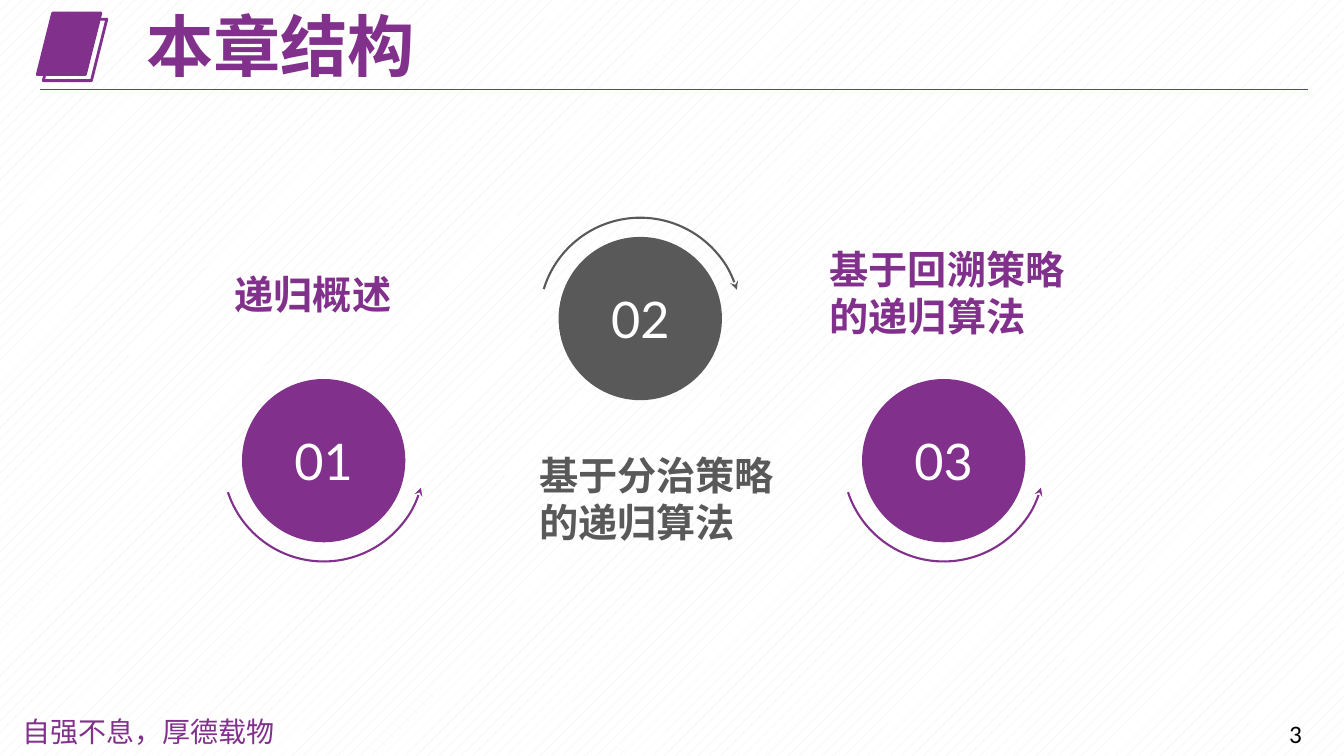
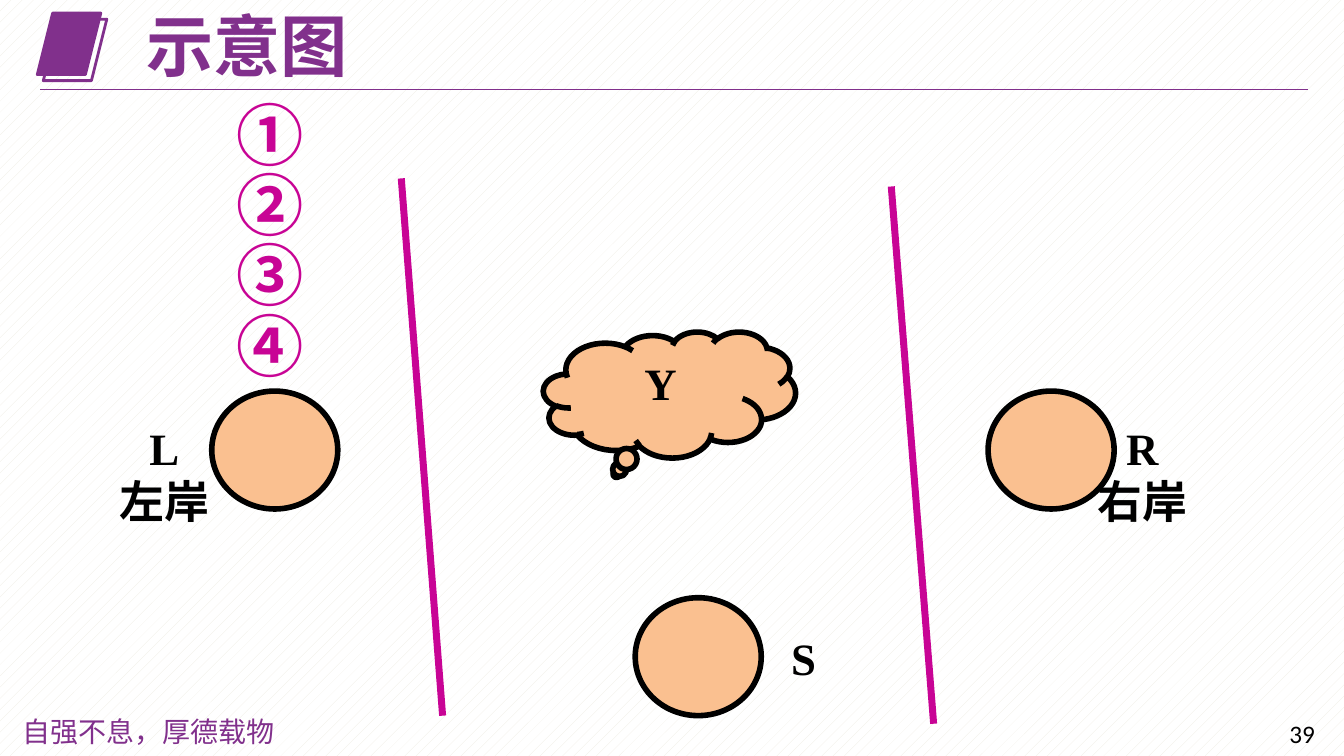
"""Build two slides of a lecture on recursion: the chapter structure and a sketch."""

from dataclasses import dataclass
from typing import Any, Optional

from lxml.etree import SubElement
from pptx import Presentation
from pptx.dml.color import RGBColor
from pptx.enum.dml import MSO_PATTERN
from pptx.enum.shapes import MSO_CONNECTOR, MSO_SHAPE
from pptx.enum.text import MSO_ANCHOR, MSO_AUTO_SIZE, PP_ALIGN
from pptx.oxml.ns import qn
from pptx.util import Inches, Pt

PURPLE = RGBColor(0x81, 0x30, 0x8C)
GREY = RGBColor(0x59, 0x59, 0x59)
MAGENTA = RGBColor(0xC8, 0x04, 0x95)
PEACH = RGBColor(0xFA, 0xC0, 0x90)
CREAM = RGBColor(0xEE, 0xEC, 0xE1)
BLACK = RGBColor(0, 0, 0)
WHITE = RGBColor(0xFF, 0xFF, 0xFF)

CHINESE_FONT = "Noto Sans CJK SC"
MOTTO = "自强不息，厚德载物"
TITLE_ONLY_LAYOUT = 5


@dataclass(frozen=True)
class Box:
    left: float
    top: float
    width: float
    height: float

    def lengths(self) -> tuple:
        return tuple(Inches(n) for n in (self.left, self.top, self.width, self.height))


@dataclass(frozen=True)
class TextStyle:
    size: int
    color: RGBColor
    font: str = CHINESE_FONT
    bold: bool = True
    align: PP_ALIGN = PP_ALIGN.LEFT
    asian_font: str = CHINESE_FONT


@dataclass(frozen=True)
class Step:
    number: str
    label: str
    label_box: Box
    left: float
    top: float
    color: RGBColor
    arc_on_top: bool = False


@dataclass(frozen=True)
class Place:
    left: float
    top: float
    lines: tuple
    label_box: Box


@dataclass(frozen=True)
class Line:
    start: tuple
    end: tuple
    color: RGBColor
    weight: float


TITLE_STYLE = TextStyle(48, PURPLE)
MOTTO_STYLE = TextStyle(20, PURPLE, "Noto Sans CJK JP", False, asian_font="Noto Sans CJK JP")
PAGE_STYLE = TextStyle(18, BLACK, "Calibri", False, PP_ALIGN.RIGHT)
NUMBER_STYLE = TextStyle(36, WHITE, "Lato", False, PP_ALIGN.CENTER)
PLACE_STYLE = TextStyle(32, BLACK, "Times New Roman", align=PP_ALIGN.CENTER)
TRAVELLER_STYLE = TextStyle(48, MAGENTA)

TITLE_RULE = Line((0.4, 0.89), (12.97, 0.89), PURPLE, 0.75)
DISC_SIZE = 1.62
ARC_MARGIN = 0.19

STEPS = (
    Step("01", "递归概述", Box(2.23, 2.63, 2.36, 0.75), 2.4, 3.76, PURPLE),
    Step("02", "基于分治策略的递归算法", Box(5.25, 4.43, 2.68, 1.09), 5.54, 2.35, GREY, True),
    Step("03", "基于回溯策略的递归算法", Box(8.13, 2.38, 2.55, 1.06), 8.55, 3.76, PURPLE),
)
PLACES = (
    Place(2.1, 3.88, ("L", "左岸"), Box(1.08, 4.12, 1.1, 1.18)),
    Place(9.8, 3.88, ("R", "右岸"), Box(10.78, 4.12, 1.1, 1.18)),
    Place(6.3, 5.93, ("S",), Box(7.69, 6.21, 0.56, 0.64)),
)
RIVER_BANKS = (
    Line((3.98, 1.77), (4.39, 7.1), MAGENTA, 5),
    Line((8.84, 1.85), (9.26, 7.18), MAGENTA, 5),
)


def write(frame: Any, lines: tuple, style: TextStyle) -> None:
    """Write one paragraph for each line into a text frame."""
    for index, line in enumerate(lines):
        paragraph = frame.add_paragraph() if index else frame.paragraphs[0]
        paragraph.alignment = style.align
        run = paragraph.add_run()
        run.text = line
        run.font.size = Pt(style.size)
        run.font.bold = style.bold
        run.font.color.rgb = style.color
        run.font.name = style.font
        SubElement(run.font._element, qn("a:ea"), typeface=style.asian_font)


def add_text(slide: Any, box: Box, lines: tuple, style: TextStyle, wrap: bool = True) -> None:
    """Add a text box."""
    frame = slide.shapes.add_textbox(*box.lengths()).text_frame
    frame.word_wrap = wrap
    write(frame, lines, style)


def add_figure(shapes: Any, kind: MSO_SHAPE, box: Box, fill: Optional[RGBColor],
               line: Optional[RGBColor], weight: float = 0) -> Any:
    """Add a preset shape with a plain fill and outline."""
    shape = shapes.add_shape(kind, *box.lengths())
    shape.shadow.inherit = False
    if fill is None:
        shape.fill.background()
    else:
        shape.fill.solid()
        shape.fill.fore_color.rgb = fill
    if line is None:
        shape.line.fill.background()
    else:
        shape.line.color.rgb = line
        shape.line.width = Pt(weight)
    return shape


def add_line(slide: Any, line: Line) -> None:
    """Add a straight line without a shadow."""
    ends = (Inches(n) for n in line.start + line.end)
    connector = slide.shapes.add_connector(MSO_CONNECTOR.STRAIGHT, *ends)
    connector.line.color.rgb = line.color
    connector.line.width = Pt(line.weight)
    SubElement(connector._element.spPr, qn("a:effectLst"))


def add_slide(presentation: Any, title: str, page: str) -> Any:
    """Add a slide with the shared emblem, title, rule, motto and page number."""
    slide = presentation.slides.add_slide(presentation.slide_layouts[TITLE_ONLY_LAYOUT])
    add_text(slide, Box(0.12, 7.04, 2.78, 0.44), (MOTTO,), MOTTO_STYLE)
    add_text(slide, Box(12.4, 7.08, 0.61 if len(page) == 1 else 0.74, 0.4), (page,), PAGE_STYLE)
    emblem = slide.shapes.add_group_shape().shapes
    for offset, fill in ((0, PURPLE), (0.06, None)):
        box = Box(0.37 + offset, 0.13 + offset, 0.63, 0.61)
        add_figure(emblem, MSO_SHAPE.PARALLELOGRAM, box, fill, PURPLE, 2)
    add_line(slide, TITLE_RULE)
    heading = slide.shapes.title
    heading.left, heading.top, heading.width, heading.height = Box(1.35, 0.11, 7.77, 0.76).lengths()
    frame = heading.text_frame
    frame.auto_size = MSO_AUTO_SIZE.NONE
    frame.vertical_anchor = MSO_ANCHOR.MIDDLE
    write(frame, (title,), TITLE_STYLE)
    frame.paragraphs[0].line_spacing = 0.9
    return slide


def add_step(slide: Any, step: Step) -> None:
    """Add a numbered disc with its curved arrow and label."""
    group = slide.shapes.add_group_shape().shapes
    disc_box = Box(step.left, step.top, DISC_SIZE, DISC_SIZE)
    disc = add_figure(group, MSO_SHAPE.OVAL, disc_box, step.color, None)
    write(disc.text_frame, (step.number,), NUMBER_STYLE)
    arc_size = DISC_SIZE + 2 * ARC_MARGIN
    arc_box = Box(step.left - ARC_MARGIN, step.top - ARC_MARGIN, arc_size, arc_size)
    arc = add_figure(group, MSO_SHAPE.ARC, arc_box, None, step.color, 1.5)
    arc.adjustments[0], arc.adjustments[1] = 145.86, 17.63
    arc.rotation = 46.4 if step.arc_on_top else 132.4
    if step.arc_on_top:
        arc._element.spPr.find(qn("a:xfrm")).set("flipH", "1")
    SubElement(arc.line._get_or_add_ln(), qn("a:headEnd"), type="stealth")
    add_text(slide, step.label_box, (step.label,), TextStyle(28, step.color))


def add_structure_slide(presentation: Any) -> None:
    """Add the chapter structure."""
    slide = add_slide(presentation, "本章结构", "3")
    for step in STEPS:
        add_step(slide, step)


def add_sketch_slide(presentation: Any) -> None:
    """Add the river crossing sketch."""
    slide = add_slide(presentation, "示意图", "39")
    for place in PLACES:
        box = Box(place.left, place.top, 1.25, 1.17)
        add_figure(slide.shapes, MSO_SHAPE.OVAL, box, PEACH, BLACK, 4)
        add_text(slide, place.label_box, place.lines, PLACE_STYLE, wrap=False)
    cloud_box = Box(5.39, 3.29, 2.5, 1.25)
    cloud = add_figure(slide.shapes, MSO_SHAPE.CLOUD_CALLOUT, cloud_box, PEACH, BLACK, 4)
    cloud.adjustments[0], cloud.adjustments[1] = -0.21, 0.63
    cloud.text_frame.vertical_anchor = MSO_ANCHOR.TOP
    write(cloud.text_frame, ("Y",), PLACE_STYLE)
    for bank in RIVER_BANKS:
        add_line(slide, bank)
    for index, traveller in enumerate("①②③④"):
        box = Box(2.25, 0.88 + 0.695 * index, 0.88, 0.91)
        add_text(slide, box, (traveller,), TRAVELLER_STYLE, wrap=False)


def main() -> None:
    """Build and save the presentation."""
    presentation = Presentation()
    presentation.slide_width = Inches(13.33)
    presentation.slide_height = Inches(7.5)
    fill = presentation.slide_master.background.fill
    fill.patterned()
    fill.pattern = MSO_PATTERN.PERCENT_10
    fill.fore_color.rgb = CREAM
    fill.back_color.rgb = WHITE
    add_structure_slide(presentation)
    add_sketch_slide(presentation)
    presentation.save("out.pptx")


if __name__ == "__main__":
    main()
